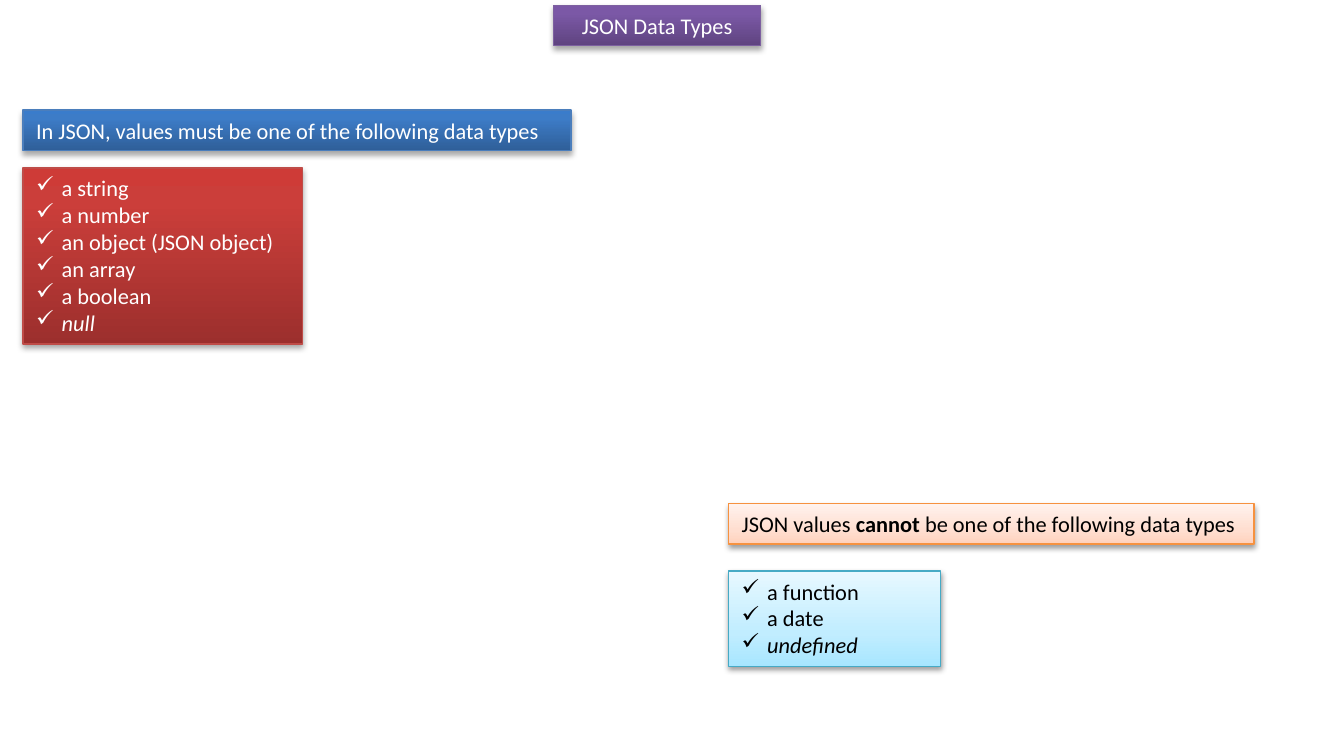
from pptx import Presentation
from pptx.dml.color import RGBColor as RGB
from pptx.enum.shapes import MSO_SHAPE as SHAPE
from pptx.enum.text import MSO_ANCHOR as ANCHOR, MSO_AUTO_SIZE as FIT, PP_ALIGN as ALIGN
from pptx.oxml.ns import qn
from pptx.util import Emu, Pt
from lxml.etree import SubElement as Sub

PX = 9144  # EMU in one px, 100 px to the inch
PT = 12700  # EMU in one point

COLORS = {
    "white": "FFFFFF", "black": "000000",
    "purple_line": "7D60A0", "red_line": "BF4C48", "blue_line": "4B7EBC",
    "aqua_line": "46AAC5", "orange_line": "F69240",
}
# Gradient colours from the bottom edge up
GRADIENTS = {
    "purple": ("5F4480", "7B58A6", "7C57A8"),
    "red": ("9C2F2D", "CB3E3A", "CE3B37"),
    "blue": ("2F5F99", "3D7CC7", "3A7CCB"),
    "aqua": ("A7E6FF", "C1EDFF", "E7F8FF"),
    "orange": ("FFD2BD", "FFDED0", "FFF2ED"),
}
# Text colour, middle gradient stop, shadow opacity in % and distance in points
STRONG = ("white", 80, 35, 1.8)
SUBTLE = ("black", 35, 38, 1.6)


class Deck:
    font, size, indent = "Calibri", 12, 19

    def __init__(self, width, height):
        self.prs = Presentation()
        self.prs.slide_width, self.prs.slide_height = Emu(width * PX), Emu(height * PX)
        self.s = self.prs.slides.add_slide(self.prs.slide_layouts[6])

    def gradient(self, sp, colors, middle):
        sp.fill.gradient()
        sp.fill.gradient_angle = 90
        stops = sp._element.spPr.find(".//" + qn("a:gsLst"))
        stops.clear()
        for pos, color in zip((0, middle, 100), colors):
            gs = Sub(stops, qn("a:gs"), pos=str(pos * 1000))
            Sub(gs, qn("a:srgbClr"), val=color)

    def shadow(self, sp, opacity, distance):
        sp.shadow.inherit = False
        effects = sp._element.spPr.find(qn("a:effectLst"))
        outer = Sub(effects, qn("a:outerShdw"), blurRad=str(round(3.1 * PT)),
                    dist=str(round(distance * PT)), dir="5400000", rotWithShape="0")
        color = Sub(outer, qn("a:srgbClr"), val=COLORS["black"])
        Sub(color, qn("a:alpha"), val=str(opacity * 1000))

    def panel(self, x, y, w, h, hue, look):
        text_color, middle, opacity, distance = look
        sp = self.s.shapes.add_shape(SHAPE.RECTANGLE, *(Emu(v * PX) for v in (x, y, w, h)))
        self.gradient(sp, GRADIENTS[hue], middle)
        sp.line.color.rgb = RGB.from_string(COLORS[hue + "_line"])
        sp.line.width = Pt(0.75)
        self.shadow(sp, opacity, distance)
        tf = sp.text_frame
        tf.word_wrap = True
        tf.auto_size = FIT.SHAPE_TO_FIT_TEXT
        tf.vertical_anchor = ANCHOR.TOP
        return tf, text_color

    def run(self, p, text, color, bold=False, italic=False):
        r = p.add_run()
        r.text = text
        r.font.name, r.font.size = self.font, Pt(self.size)
        r.font.bold, r.font.italic = bold, italic
        r.font.color.rgb = RGB.from_string(COLORS[color])

    def label(self, box, hue, look, runs, align=ALIGN.LEFT):
        tf, color = self.panel(*box, hue, look)
        p = tf.paragraphs[0]
        p.alignment = align
        for text, bold in runs:
            self.run(p, text, color, bold=bold)

    def checklist(self, box, hue, look, items):
        """Ticked list whose last item, a keyword, is in italics."""
        tf, color = self.panel(*box, hue, look)
        for i, item in enumerate(items):
            p = tf.add_paragraph() if i else tf.paragraphs[0]
            p.alignment = ALIGN.LEFT
            pPr = p._p.get_or_add_pPr()
            pPr.set("marL", str(self.indent * PX))
            pPr.set("indent", str(-self.indent * PX))
            Sub(pPr, qn("a:buChar"), char="✓")
            self.run(p, item, color, italic=i == len(items) - 1)


def main():
    deck = Deck(1000, 550)
    left, right, row = 17, 542, 30

    # Title
    deck.label((412, 4, 154, row), "purple", STRONG, [("JSON Data Types", False)], ALIGN.CENTER)

    # Allowed types
    deck.checklist((left, 125, 208, 131), "red", STRONG,
                   ["a string", "a number", "an object (JSON object)",
                    "an array", "a boolean", "null"])
    deck.label((left, 82, 408, row), "blue", STRONG,
               [("In JSON, values must be one of the following data types", False)])

    # Types that are not allowed
    deck.checklist((right, 425, 158, 71), "aqua", SUBTLE,
                   ["a function", "a date", "undefined"])
    deck.label((right, 375, 391, row), "orange", SUBTLE,
               [("JSON values ", False), ("cannot ", True),
                ("be one of the following data types", False)])

    deck.prs.save("out.pptx")


if __name__ == "__main__":
    main()
